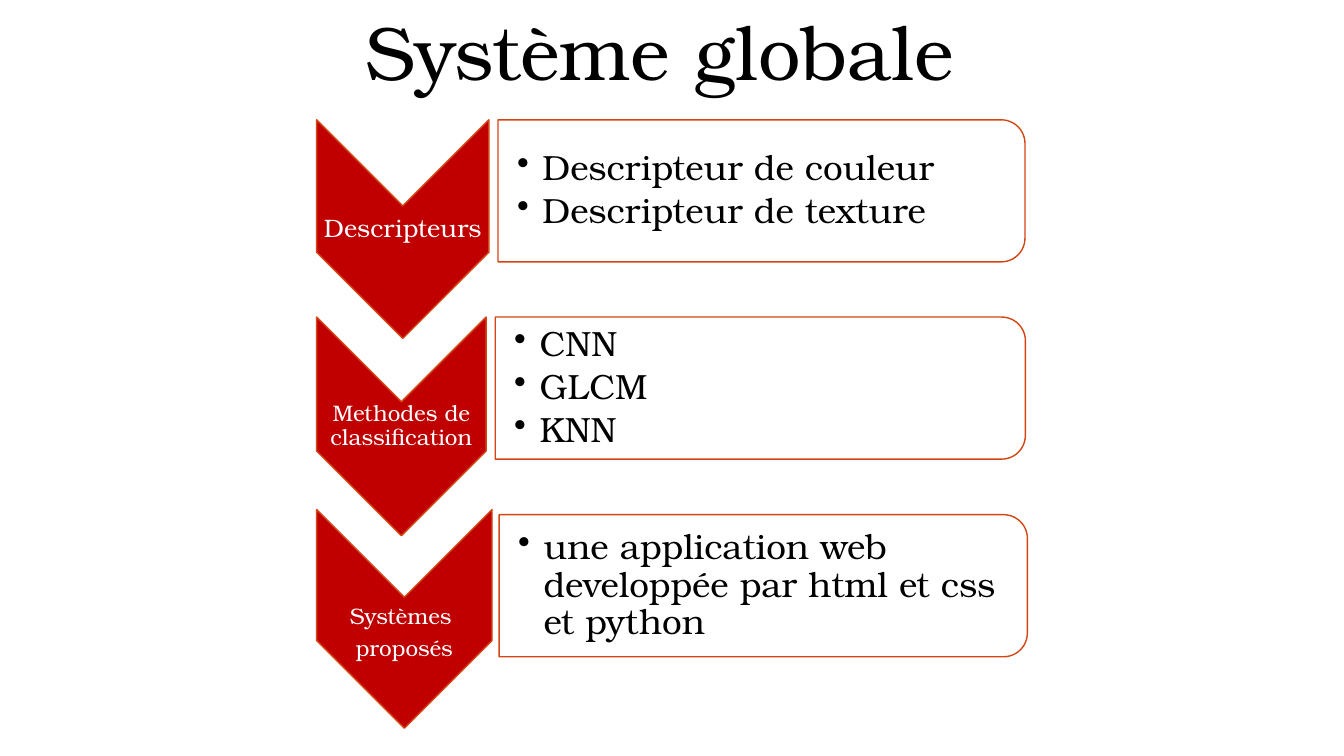
import lxml.etree
import pptx
import pptx.dml.color
import pptx.enum.shapes
import pptx.enum.text
import pptx.oxml.ns
import pptx.util

Cm = pptx.util.Cm
Pt = pptx.util.Pt
RGBColor = pptx.dml.color.RGBColor
SHAPE = pptx.enum.shapes.MSO_SHAPE
ANCHOR = pptx.enum.text.MSO_ANCHOR
ALIGN = pptx.enum.text.PP_ALIGN
qn = pptx.oxml.ns.qn

RED = RGBColor(0xC0, 0x00, 0x00)
ORANGE = RGBColor(0xD3, 0x46, 0x14)
WHITE = RGBColor(0xFF, 0xFF, 0xFF)
BLACK = RGBColor(0x00, 0x00, 0x00)
FONT = "TeX Gyre Bonum"

LEFT = 7.98
TALL = 5.51
HIGH = 3.58
INSET = 0.18

ROWS = [
    {"arrow": (3.02, 4.34), "panel": (12.55, 3.02, 13.28),
     "label": ["Descripteurs"], "size": 18, "drop": 0,
     "items": ["Descripteur de couleur", "Descripteur de texture"]},
    {"arrow": (7.99, 4.27), "panel": (12.48, 7.99, 13.36),
     "label": ["Methodes de classification"], "size": 16, "drop": 0,
     "items": ["CNN", "GLCM", "KNN"]},
    {"arrow": (12.84, 4.42), "panel": (12.58, 12.97, 13.31),
     "label": ["Systèmes ", "proposés"], "size": 16, "drop": 0.36,
     "items": ["une application web developpée par html et css et python"]},
]


def add_turned(slide, kind, left, top, width, height, fill):
    mid_x, mid_y = left + width / 2, top + height / 2
    shape = slide.shapes.add_shape(
        kind, Cm(mid_x - height / 2), Cm(mid_y - width / 2),
        Cm(height), Cm(width))
    shape.rotation = 90
    shape.shadow.inherit = False
    shape.fill.solid()
    shape.fill.fore_color.rgb = fill
    shape.line.color.rgb = ORANGE
    shape.line.width = Pt(1)
    return shape


def add_text(slide, box, lines, size, color, gap=0, pads=None):
    shape = slide.shapes.add_textbox(*[Cm(value) for value in box])
    frame = shape.text_frame
    frame.word_wrap = True
    if pads:
        frame.vertical_anchor = ANCHOR.MIDDLE
        frame.margin_left, frame.margin_right = Cm(pads[0]), Cm(pads[1])
        frame.margin_top = frame.margin_bottom = Cm(pads[1])
    frame.text = "\n".join(lines)
    for index, para in enumerate(frame.paragraphs):
        para.alignment = ALIGN.CENTER
        if pads:
            para.line_spacing = 0.9
        if index:
            para.space_before = Pt(gap)
        for run in para.runs:
            run.font.name = FONT
            run.font.size = Pt(size)
            run.font.color.rgb = color
    return frame


def add_bullet(para):
    para.alignment = ALIGN.LEFT
    para.level = 1
    props = para._p.get_or_add_pPr()
    props.set("marL", str(Cm(0.64)))
    props.set("indent", str(Cm(-0.64)))
    tint = lxml.etree.SubElement(props, qn("a:buClr"))
    lxml.etree.SubElement(tint, qn("a:srgbClr"), val=str(BLACK))
    lxml.etree.SubElement(props, qn("a:buChar"), char="•")


def add_arrow(slide, row):
    top, width = row["arrow"]
    shape = add_turned(slide, SHAPE.CHEVRON, LEFT, top, width, TALL, RED)
    shape.adjustments[0] = 0.5
    box = (LEFT, top + width / 2 + row["drop"], width, TALL - width)
    add_text(slide, box, row["label"], row["size"], WHITE, 5.6, (0.03, 0.03))


def add_panel(slide, row):
    left, top, width = row["panel"]
    shape = add_turned(slide, SHAPE.ROUND_2_SAME_RECTANGLE,
                       left, top, width, HIGH, WHITE)
    shape.adjustments[0] = 0.167
    shape.adjustments[1] = 0
    tint = shape._element.spPr.find(qn("a:solidFill"))[0]
    lxml.etree.SubElement(tint, qn("a:alpha"), val="90000")
    box = (left, top + INSET, width - INSET, HIGH - 2 * INSET)
    frame = add_text(slide, box, row["items"], 25, BLACK, 3.8, (0.48, 0.05))
    for para in frame.paragraphs:
        add_bullet(para)


def main():
    deck = pptx.Presentation()
    deck.slide_width, deck.slide_height = Cm(33.87), Cm(19.05)
    slide = deck.slides.add_slide(deck.slide_layouts[6])
    for row in ROWS:
        add_arrow(slide, row)
        add_panel(slide, row)
    add_text(slide, (8.48, 0, 16.89, 2.57), ["Système globale "], 54, BLACK)
    deck.save("out.pptx")


if __name__ == "__main__":
    main()
